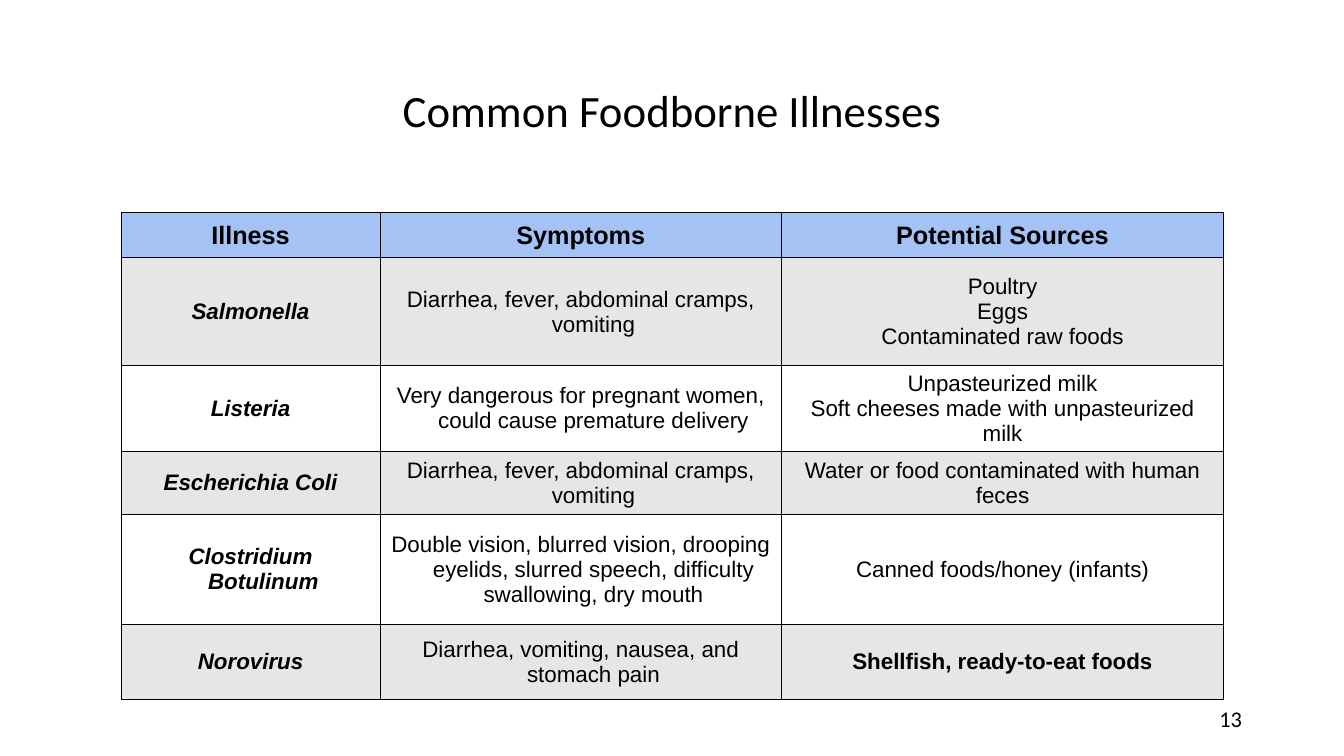
from dataclasses import dataclass

from lxml import etree
from pptx import Presentation
from pptx import util as u
from pptx.dml.color import RGBColor
from pptx.enum import text
from pptx.oxml import ns


@dataclass(frozen=True)
class Theme:
    ink: str = "000000"
    header: str = "A4C2F4"
    band: str = "E6E6E6"
    plain: str = "FFFFFF"
    heading_font: str = "Calibri"
    table_font: str = "Arial"
    title_size: int = 32
    header_size: int = 18
    body_size: int = 16


@dataclass(frozen=True)
class Illness:
    name: str
    symptoms: str
    sources: tuple[str, ...]
    height: float
    hanging_sources: bool = False
    bold_sources: bool = False


THEME = Theme()
COLUMN_WIDTHS = (6.53, 10.11, 11.15)
HEADINGS = ("Illness", "Symptoms", "Potential Sources")
HEADER_HEIGHT = 1.14
HANGING_INDENT = u.Cm(0.64)
ILLNESSES = (
    Illness("Salmonella", "Diarrhea, fever, abdominal cramps, vomiting",
            ("Poultry", "Eggs", "Contaminated raw foods"), 2.72, hanging_sources=True),
    Illness("Listeria", "Very dangerous for pregnant women, could cause premature delivery",
            ("Unpasteurized milk", "Soft cheeses made with unpasteurized milk"), 2.15),
    Illness("Escherichia Coli", "Diarrhea, fever, abdominal cramps, vomiting",
            ("Water or food contaminated with human feces",), 1.6),
    Illness("Clostridium Botulinum",
            "Double vision, blurred vision, drooping eyelids, slurred speech, "
            "difficulty swallowing, dry mouth",
            ("Canned foods/honey (infants)",), 2.76),
    Illness("Norovirus", "Diarrhea, vomiting, nausea, and stomach pain",
            ("Shellfish, ready-to-eat foods",), 1.9, bold_sources=True),
)


def apply(target: object, formats: dict) -> None:
    for name, value in formats.items():
        setattr(target, name, value)


def write(frame, lines: tuple[str, ...], font: str, size: int, align=text.PP_ALIGN.CENTER,
          bold: bool = False, italic: bool = False, hanging: bool = False) -> None:
    for index, line in enumerate(lines):
        paragraph = frame.paragraphs[0] if index == 0 else frame.add_paragraph()
        paragraph.alignment = align
        if hanging:
            properties = paragraph._p.get_or_add_pPr()
            properties.set("marL", str(HANGING_INDENT))
            properties.set("indent", str(-HANGING_INDENT))
        run = paragraph.add_run()
        run.text = line
        apply(run.font, {"name": font, "size": u.Pt(size), "bold": bold, "italic": italic})
        run.font.color.rgb = RGBColor.from_string(THEME.ink)


def add_borders(cell) -> None:
    properties = cell._tc.get_or_add_tcPr()
    for side in ("lnL", "lnR", "lnT", "lnB"):
        line = etree.SubElement(properties, ns.qn(f"a:{side}"), w=str(u.Pt(0.75)))
        fill = etree.SubElement(line, ns.qn("a:solidFill"))
        etree.SubElement(fill, ns.qn("a:srgbClr"), val=THEME.ink)


def fill_cell(cell, lines: tuple[str, ...], color: str, size: int = THEME.body_size,
              bold: bool = False, italic: bool = False, hanging: bool = True) -> None:
    add_borders(cell)
    cell.fill.solid()
    cell.fill.fore_color.rgb = RGBColor.from_string(color)
    cell.vertical_anchor = text.MSO_ANCHOR.MIDDLE
    write(cell.text_frame, lines, THEME.table_font, size,
          bold=bold, italic=italic, hanging=hanging)


def add_title(slide) -> None:
    title = slide.shapes.title
    apply(title, {"left": u.Cm(5.41), "top": u.Cm(1.02),
                  "width": u.Cm(23.06), "height": u.Cm(3.68)})
    apply(title.text_frame, {"word_wrap": True, "auto_size": text.MSO_AUTO_SIZE.NONE,
                             "vertical_anchor": text.MSO_ANCHOR.MIDDLE})
    write(title.text_frame, ("Common Foodborne Illnesses",),
          THEME.heading_font, THEME.title_size)
    title.text_frame.paragraphs[0].line_spacing = 0.85


def add_illness_table(slide) -> None:
    heights = (HEADER_HEIGHT, *(illness.height for illness in ILLNESSES))
    table = slide.shapes.add_table(
        len(heights), len(COLUMN_WIDTHS), u.Cm(3.05), u.Cm(5.36),
        u.Cm(sum(COLUMN_WIDTHS)), u.Cm(sum(heights))).table
    apply(table, {"first_row": True, "horz_banding": False})
    for column, width in zip(table.columns, COLUMN_WIDTHS):
        column.width = u.Cm(width)
    for row, height in zip(table.rows, heights):
        row.height = u.Cm(height)

    # Header row
    for index, heading in enumerate(HEADINGS):
        fill_cell(table.cell(0, index), (heading,), THEME.header, THEME.header_size, bold=True)

    # One row per illness, alternately shaded
    for row, illness in enumerate(ILLNESSES, start=1):
        color = THEME.band if row % 2 else THEME.plain
        fill_cell(table.cell(row, 0), (illness.name,), color, bold=True, italic=True)
        fill_cell(table.cell(row, 1), (illness.symptoms,), color)
        fill_cell(table.cell(row, 2), illness.sources, color,
                  bold=illness.bold_sources, hanging=illness.hanging_sources)


def add_page_number(slide) -> None:
    box = slide.shapes.add_textbox(u.Cm(23.93), u.Cm(17.65), u.Cm(7.62), u.Cm(1.02))
    box.text_frame.word_wrap = True
    write(box.text_frame, ("13",), THEME.heading_font, THEME.body_size,
          align=text.PP_ALIGN.RIGHT)


def main() -> None:
    presentation = Presentation()
    apply(presentation, {"slide_width": u.Cm(33.87), "slide_height": u.Cm(19.05)})
    slide = presentation.slides.add_slide(presentation.slide_layouts.get_by_name("Title Only"))
    add_title(slide)
    add_illness_table(slide)
    add_page_number(slide)
    presentation.save("out.pptx")


if __name__ == "__main__":
    main()
